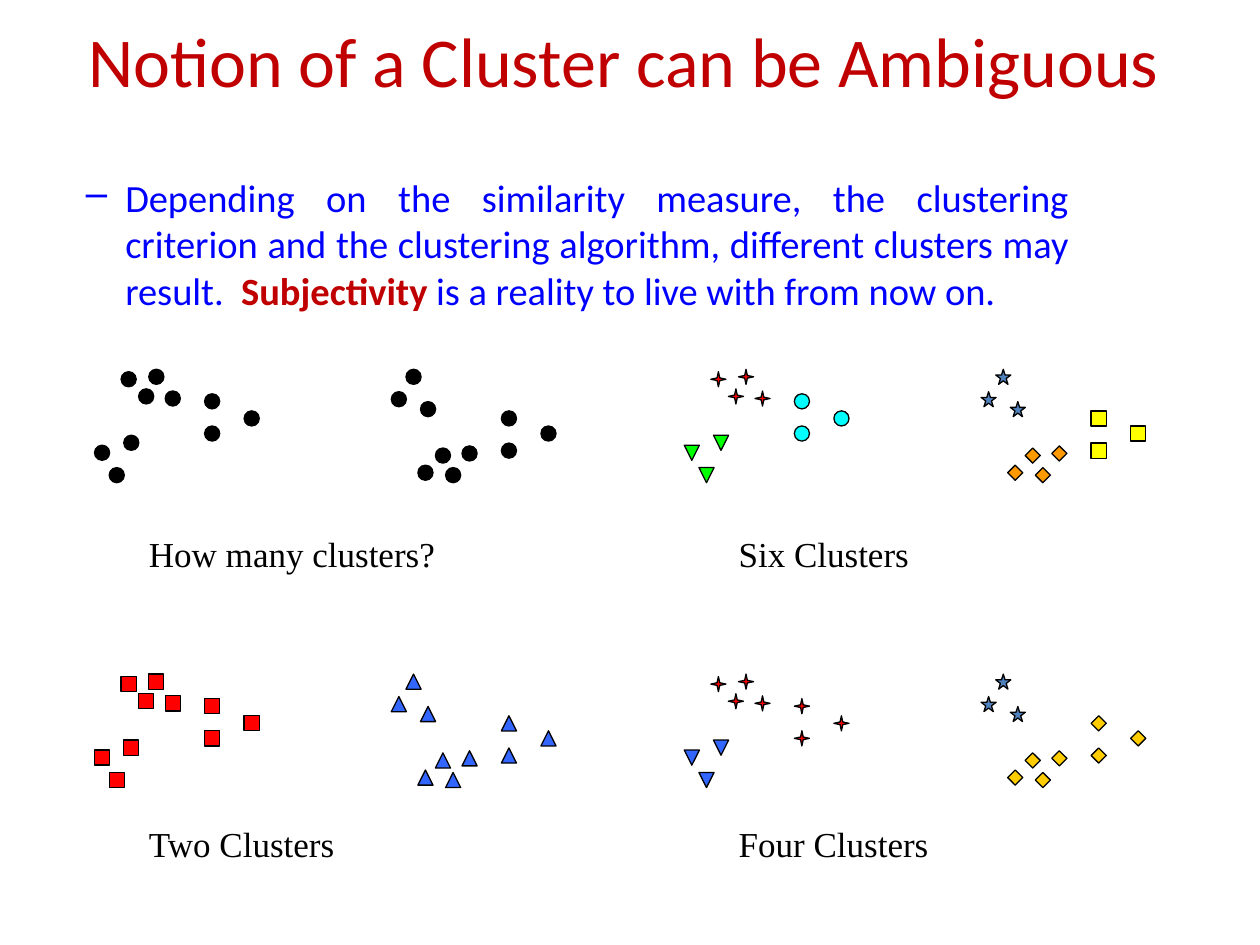
from dataclasses import dataclass

from lxml import etree
from pptx import Presentation
from pptx.dml.color import RGBColor
from pptx.enum.shapes import MSO_SHAPE
from pptx.enum.text import MSO_ANCHOR, MSO_AUTO_SIZE, PP_ALIGN
from pptx.oxml.ns import qn
from pptx.slide import Slide
from pptx.util import Pt

CIRCLE = MSO_SHAPE.OVAL
SQUARE = MSO_SHAPE.RECTANGLE
DIAMOND = MSO_SHAPE.DIAMOND
UP = MSO_SHAPE.ISOSCELES_TRIANGLE
DOWN = MSO_SHAPE.FLOWCHART_MERGE
STAR4 = MSO_SHAPE.STAR_4_POINT
STAR5 = MSO_SHAPE.STAR_5_POINT
MIDDLE = MSO_ANCHOR.MIDDLE
NO_FIT = MSO_AUTO_SIZE.NONE
CENTER = PP_ALIGN.CENTER
JUSTIFY = PP_ALIGN.JUSTIFY

BLACK = "000000"
BLUE = "0000FF"
DARK_RED = "C00000"

DOT = 8.64
MIRROR_SHIFT = 169.6
CLOUD_HEIGHT = 56.2
LEFT_X, RIGHT_X = 54, 391
TOP_Y, BOTTOM_Y = 211, 385.2
CAPTION_SHIFT = 24

LEFT_CLOUD = [
    [(40.4, 12.4), (15.2, 1.4), (31, 0), (25.2, 11.2)],
    [(16.7, 37.7), (0, 43.4), (8.4, 56.2)],
    [(62.9, 14), (85.5, 23.8), (62.9, 32.4)],
]
RIGHT_CLOUD = [[(x + MIRROR_SHIFT, CLOUD_HEIGHT - y) for x, y in cluster]
               for cluster in LEFT_CLOUD]


@dataclass
class Marker:
    kind: MSO_SHAPE
    color: str


@dataclass
class Panel:
    caption: str
    x: float
    y: float
    caption_y: float
    left: list[Marker]
    right: list[Marker]


BLACK_DOT = Marker(CIRCLE, BLACK)
RED_SQUARE = Marker(SQUARE, "FF0000")
RED_STAR = Marker(STAR4, "FF0000")
STEEL_STAR = Marker(STAR5, "4F81BD")
BLUE_UP = Marker(UP, "3366FF")
BLUE_DOWN = Marker(DOWN, "3366FF")
GOLD_DIAMOND = Marker(DIAMOND, "FFCC00")

PANELS = [
    Panel("How many clusters?", LEFT_X, TOP_Y, 301, [BLACK_DOT] * 3, [BLACK_DOT] * 3),
    Panel("Six Clusters", RIGHT_X, TOP_Y, 301,
          [RED_STAR, Marker(DOWN, "00FF00"), Marker(CIRCLE, "00FFFF")],
          [Marker(DIAMOND, "FF9900"), STEEL_STAR, Marker(SQUARE, "FFFF00")]),
    Panel("Two Clusters", LEFT_X, BOTTOM_Y, 466.5, [RED_SQUARE] * 3, [BLUE_UP] * 3),
    Panel("Four Clusters", RIGHT_X, BOTTOM_Y, 466.5,
          [RED_STAR, BLUE_DOWN, RED_STAR],
          [GOLD_DIAMOND, STEEL_STAR, GOLD_DIAMOND]),
]

BODY_RUNS = [
    ("Depending on the similarity measure, the clustering criterion and the "
     "clustering algorithm, different clusters may result.  ", BLUE, False),
    ("Subjectivity", DARK_RED, True),
    (" is a reality to live with from now on.", BLUE, False),
]


def rgb(color: str) -> RGBColor:
    return RGBColor.from_string(color)


def style_run(r, name: str, size: float, color: str, bold: bool = False) -> None:
    r.font.name = name
    r.font.size = Pt(size)
    r.font.color.rgb = rgb(color)
    r.font.bold = bold


def add_title(s: Slide) -> None:
    sp = s.shapes.title
    sp.left, sp.top, sp.width, sp.height = Pt(30), Pt(12), Pt(652.5), Pt(43.5)
    tf = sp.text_frame
    tf.text = "Notion of a Cluster can be Ambiguous"
    tf.auto_size = NO_FIT
    tf.vertical_anchor = MIDDLE
    p = tf.paragraphs[0]
    p.alignment = CENTER
    style_run(p.runs[0], "Calibri", 40, DARK_RED)


def add_body(s: Slide) -> None:
    tf = s.shapes.add_textbox(Pt(6), Pt(96), Pt(612), Pt(90)).text_frame
    tf.word_wrap = True
    p = tf.paragraphs[0]
    p.alignment = JUSTIFY
    pPr = p._p.get_or_add_pPr()
    pPr.set("marL", str(Pt(58.5)))
    pPr.set("indent", str(Pt(-22.5)))
    bu_clr = etree.SubElement(pPr, qn("a:buClr"))
    etree.SubElement(bu_clr, qn("a:srgbClr"), val=BLUE)
    etree.SubElement(pPr, qn("a:buChar"), char="–")
    for text, color, bold in BODY_RUNS:
        r = p.add_run()
        r.text = text
        style_run(r, "Calibri", 22, color, bold)


def add_marker(s: Slide, marker: Marker, x: float, y: float) -> None:
    sp = s.shapes.add_shape(marker.kind, Pt(x), Pt(y), Pt(DOT), Pt(DOT))
    sp.shadow.inherit = False
    sp.fill.solid()
    sp.fill.fore_color.rgb = rgb(marker.color)
    sp.line.color.rgb = rgb(BLACK)
    sp.line.width = Pt(0.75)


def add_panel(s: Slide, panel: Panel) -> None:
    for cloud, markers in ((LEFT_CLOUD, panel.left), (RIGHT_CLOUD, panel.right)):
        for cluster, marker in zip(cloud, markers):
            for x, y in cluster:
                add_marker(s, marker, panel.x + x, panel.y + y)
    tf = s.shapes.add_textbox(Pt(panel.x + CAPTION_SHIFT), Pt(panel.caption_y),
                              Pt(180), Pt(31.5)).text_frame
    tf.word_wrap = True
    tf.text = panel.caption
    style_run(tf.paragraphs[0].runs[0], "Times New Roman", 20, BLACK)


def main() -> None:
    prs = Presentation()
    prs.slide_width, prs.slide_height = Pt(720), Pt(540)
    s = prs.slides.add_slide(prs.slide_layouts[5])
    add_title(s)
    for panel in PANELS:
        add_panel(s, panel)
    add_body(s)
    prs.save("out.pptx")


if __name__ == "__main__":
    main()
